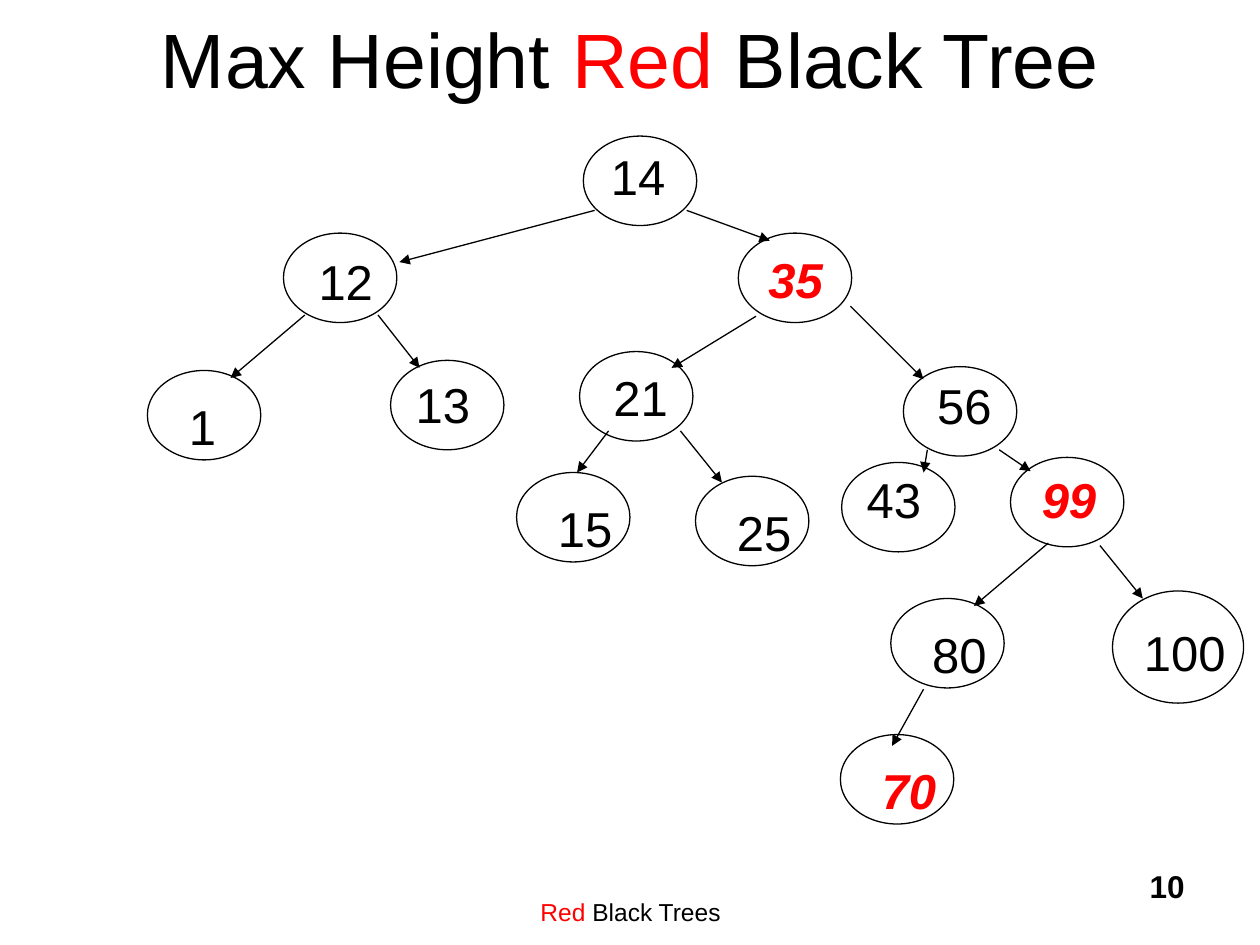
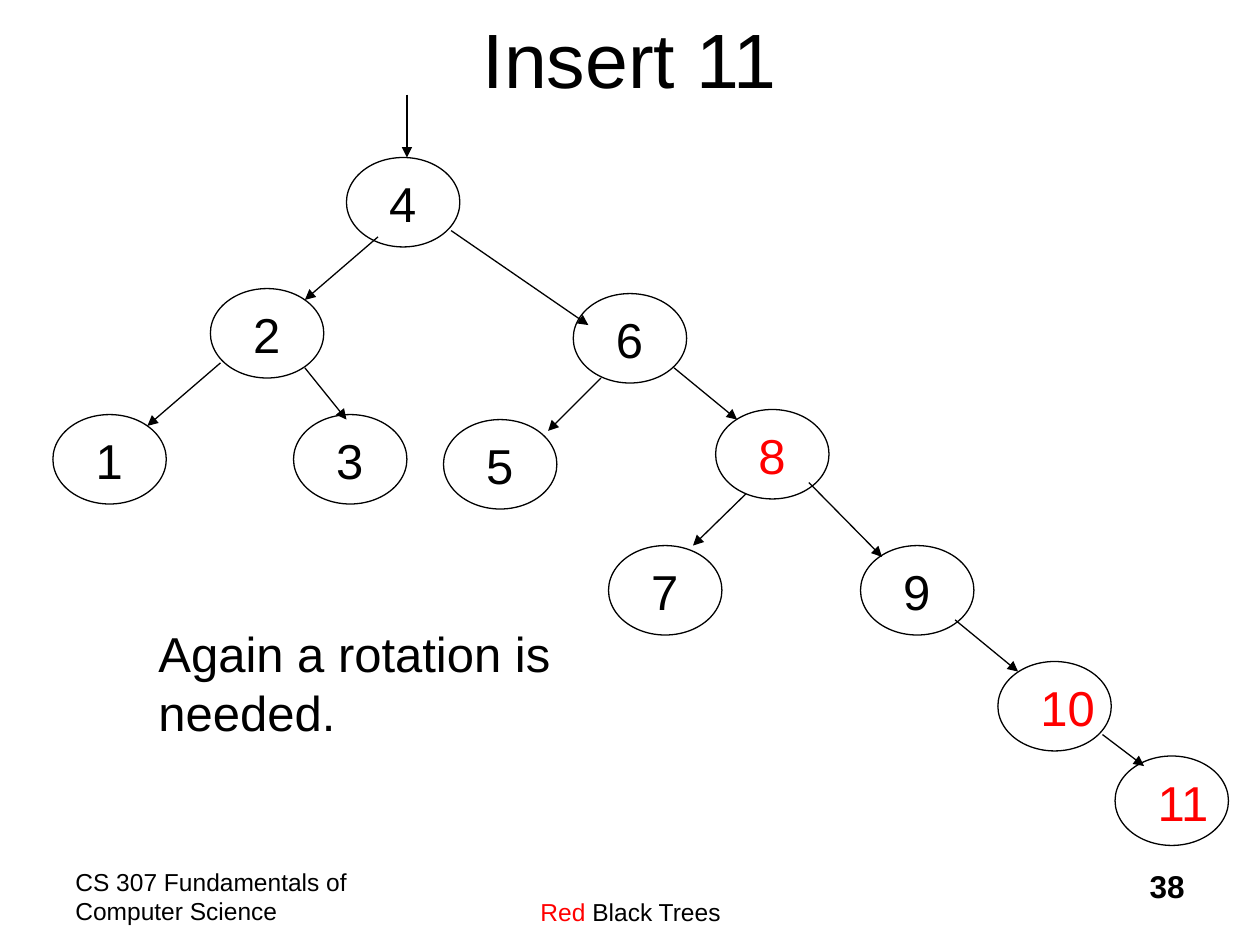
from typing import NamedTuple

from lxml import etree
from pptx import Presentation
from pptx.dml.color import RGBColor
from pptx.enum.shapes import MSO_CONNECTOR, MSO_SHAPE
from pptx.enum.text import MSO_ANCHOR, PP_ALIGN
from pptx.oxml.ns import qn
from pptx.util import Inches, Pt

BLACK = RGBColor(0x00, 0x00, 0x00)
RED = RGBColor(0xFF, 0x00, 0x00)
FONT = "Arial"
LEFT, CENTER, RIGHT = PP_ALIGN.LEFT, PP_ALIGN.CENTER, PP_ALIGN.RIGHT
TOP, MIDDLE = MSO_ANCHOR.TOP, MSO_ANCHOR.MIDDLE
OVAL, STRAIGHT = MSO_SHAPE.OVAL, MSO_CONNECTOR.STRAIGHT

LINE_WIDTH = Pt(0.75)
NODE_SIZE = (0.9, 0.71)
LABEL_SIZE = 28


class Run(NamedTuple):
    text: str
    color: RGBColor = BLACK
    bold: bool = False
    italic: bool = False


class Node(NamedTuple):
    """A tree node; label is the offset of its key from its top left."""
    key: int
    x: float
    y: float
    label: tuple[float, float] = (0.24, 0.08)
    red: bool = False
    size: tuple[float, float] = NODE_SIZE


class Arrow(NamedTuple):
    x1: float
    y1: float
    x2: float
    y2: float


# Slide 1: keys sit at individual offsets, red keys are bold italic
LOW = (0.23, 0.16)
MAX_HEIGHT_NODES = [
    Node(14, 4.63, 1.08, (0.12, 0.03)),
    Node(12, 2.25, 1.85, (0.18, 0.1)),
    Node(35, 5.86, 1.85, (0.14, 0.08), red=True),
    Node(1, 1.17, 2.94, LOW),
    Node(13, 3.1, 2.86, (0.1, 0.06)),
    Node(21, 4.6, 2.79, (0.17, 0.08)),
    Node(56, 7.17, 2.91, (0.17, 0.02)),
    Node(15, 4.1, 3.75, LOW),
    Node(25, 5.52, 3.78, LOW),
    Node(43, 6.68, 3.67, (0.1, 0.01)),
    Node(99, 8.02, 3.63, (0.15, 0.05), red=True),
    Node(80, 7.07, 4.75, LOW),
    Node(100, 8.83, 4.69, (0.15, 0.2), size=(1.04, 0.89)),
    Node(70, 6.67, 5.83, LOW, red=True),
]
MAX_HEIGHT_ARROWS = [
    Arrow(4.72, 1.67, 3.17, 2.08), Arrow(5.45, 1.67, 6.11, 1.91),
    Arrow(2.42, 2.5, 1.83, 3), Arrow(3, 2.5, 3.33, 2.92),
    Arrow(6, 2.51, 5.33, 2.92), Arrow(6.75, 2.43, 7.33, 3.01),
    Arrow(4.83, 3.42, 4.58, 3.75), Arrow(5.4, 3.42, 5.73, 3.83),
    Arrow(7.36, 3.57, 7.33, 3.75), Arrow(7.93, 3.57, 8.18, 3.74),
    Arrow(8.32, 4.31, 7.73, 4.81), Arrow(8.73, 4.33, 9.07, 4.75),
    Arrow(7.33, 5.47, 7.08, 5.92),
]

# Slide 2: all keys share one offset
INSERT_NODES = [
    Node(4, 2.75, 1.25),
    Node(2, 1.67, 2.29),
    Node(6, 4.55, 2.33),
    Node(1, 0.42, 3.29),
    Node(3, 2.33, 3.29),
    Node(5, 3.52, 3.33),
    Node(8, 5.68, 3.25, red=True),
    Node(7, 4.83, 4.33),
    Node(9, 6.83, 4.33),
    Node(10, 7.92, 5.25, red=True),
    Node(11, 8.85, 6, red=True),
]
INSERT_ARROWS = [
    Arrow(3.23, 0.75, 3.23, 1.25),
    Arrow(3, 1.88, 2.42, 2.38), Arrow(3.58, 1.83, 4.67, 2.58),
    Arrow(1.75, 2.88, 1.17, 3.38), Arrow(2.42, 2.92, 2.75, 3.33),
    Arrow(4.77, 3, 4.35, 3.42), Arrow(5.35, 2.92, 5.85, 3.33),
    Arrow(5.92, 3.92, 5.5, 4.33), Arrow(6.42, 3.83, 7, 4.42),
    Arrow(7.58, 4.92, 8.08, 5.33), Arrow(8.75, 5.83, 9.08, 6.08),
]


def add_text(s, box: tuple, runs: list[Run], size: float, align=LEFT,
             anchor=TOP, wrap: bool = True) -> None:
    """Place one paragraph of formatted runs in a text box."""
    tf = s.shapes.add_textbox(*map(Inches, box)).text_frame
    tf.word_wrap = wrap
    tf.vertical_anchor = anchor
    p = tf.paragraphs[0]
    p.alignment = align
    for run in runs:
        r = p.add_run()
        r.text = run.text
        font_format = {"name": FONT, "size": Pt(size),
                       "bold": run.bold, "italic": run.italic}
        for name, value in font_format.items():
            setattr(r.font, name, value)
        r.font.color.rgb = run.color


def add_node(s, node: Node, emphasis: bool) -> None:
    """Draw an outlined oval and its key."""
    sp = s.shapes.add_shape(
        OVAL, *map(Inches, (node.x, node.y, *node.size)))
    sp.shadow.inherit = False
    sp.fill.background()
    sp.line.color.rgb = BLACK
    sp.line.width = LINE_WIDTH
    key = str(node.key)
    dx, dy = node.label
    strong = node.red and emphasis
    add_text(s, (node.x + dx, node.y + dy, 0.2 + 0.22 * len(key), 0.57),
             [Run(key, RED if node.red else BLACK, strong, strong)],
             LABEL_SIZE, wrap=False)


def add_arrow(s, arrow: Arrow) -> None:
    """Draw a thin line with a triangle at its end."""
    line = s.shapes.add_connector(STRAIGHT, *map(Inches, arrow))
    line.line.color.rgb = BLACK
    line.line.width = LINE_WIDTH
    sp_pr = line._element.spPr
    etree.SubElement(sp_pr.find(qn("a:ln")), qn("a:tailEnd"),
                     type="triangle")
    etree.SubElement(sp_pr, qn("a:effectLst"))


def add_tree_slide(prs, title: list[Run], number: int, nodes: list[Node],
                   arrows: list[Arrow], emphasis: bool = False):
    """Add a slide with title, footers and a tree."""
    s = prs.slides.add_slide(prs.slide_layouts[6])
    # Footer and page number
    add_text(s, (3.09, 7.07, 3.83, 0.3),
             [Run("Red", RED), Run(" Black Trees")], 14, CENTER)
    add_text(s, (7.42, 6.83, 2.08, 0.5),
             [Run(str(number), bold=True)], 18, RIGHT)
    # Title
    add_text(s, (0.75, -0.17, 8.5, 1.25), title, 44, CENTER, MIDDLE)
    # Tree
    for node in nodes:
        add_node(s, node, emphasis)
    for arrow in arrows:
        add_arrow(s, arrow)
    return s


def main() -> None:
    prs = Presentation()
    prs.slide_width, prs.slide_height = Inches(10), Inches(7.5)

    add_tree_slide(
        prs, [Run("Max Height "), Run("Red", RED), Run(" Black Tree")], 10,
        MAX_HEIGHT_NODES, MAX_HEIGHT_ARROWS, emphasis=True)

    s = add_tree_slide(prs, [Run("Insert 11")], 38,
                       INSERT_NODES, INSERT_ARROWS)
    add_text(s, (0.5, 6.83, 2.5, 0.5),
             [Run("CS 307 Fundamentals of Computer Science")], 14)
    add_text(s, (1.16, 4.9, 3.5, 1.04),
             [Run("Again a rotation is needed.")], LABEL_SIZE)

    prs.save("out.pptx")


if __name__ == "__main__":
    main()
